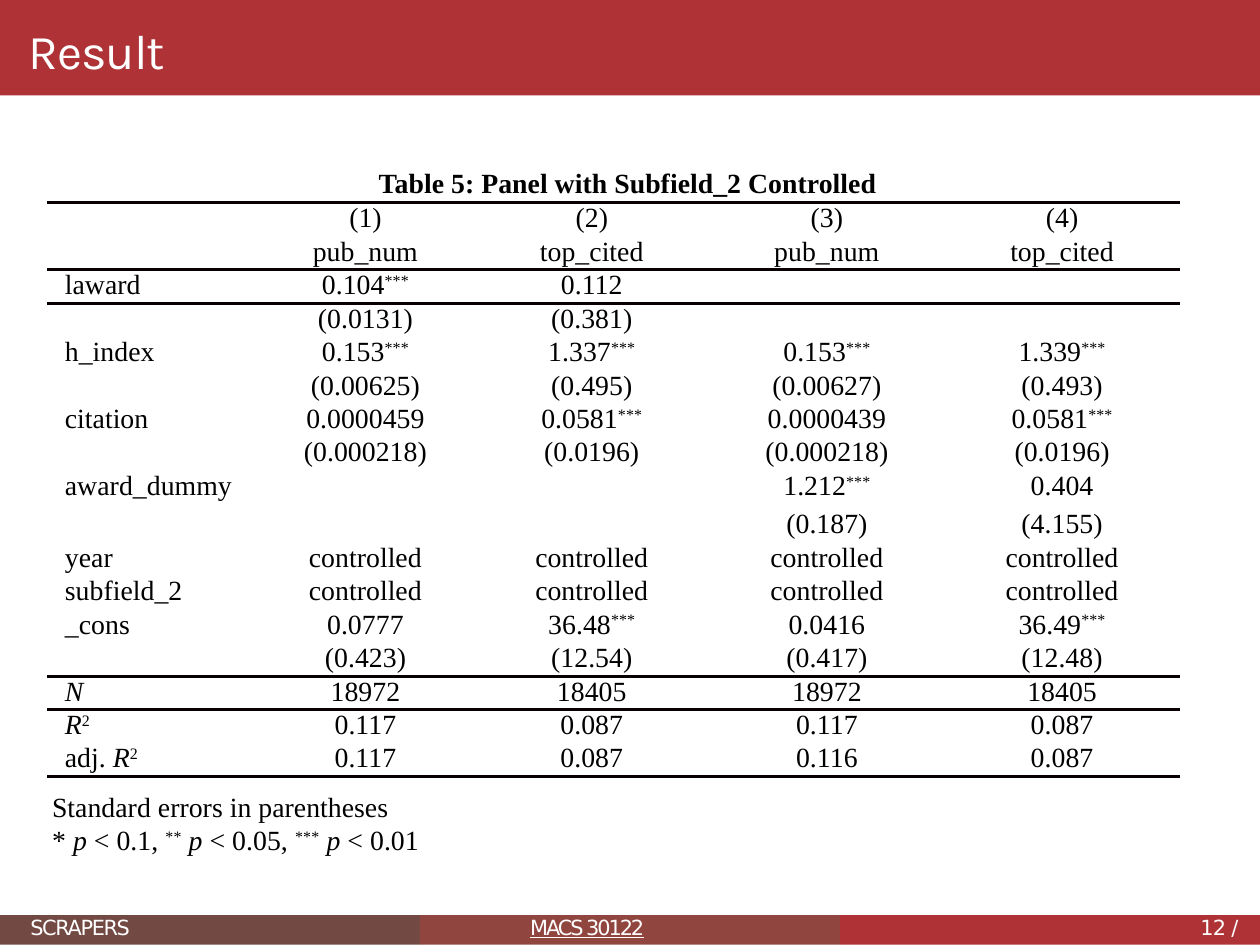
from dataclasses import dataclass

from lxml.etree import SubElement
from pptx import Presentation
from pptx.dml.color import RGBColor
from pptx.enum.shapes import MSO_SHAPE
from pptx.enum.text import MSO_ANCHOR, MSO_AUTO_SIZE, PP_ALIGN
from pptx.oxml import parse_xml
from pptx.oxml.ns import nsdecls, qn
from pptx.util import Cm, Pt


@dataclass(frozen=True)
class Theme:
    red: str = "AE3236"
    brown: str = "734943"
    rust: str = "90463F"
    white: str = "FFFFFF"
    ink: str = "000000"
    rule: str = "080000"
    title_font: str = "Karla"
    table_font: str = "Times New Roman"
    footer_font: str = "DejaVu Sans"
    title_size: float = 14
    table_size: float = 8
    footer_size: float = 6


THEME = Theme()
TABLE_TEXT = dict(name=THEME.table_font, size=Pt(THEME.table_size))
FOOTER_TEXT = dict(name=THEME.footer_font, size=Pt(THEME.footer_size))
TITLE_TEXT = dict(name=THEME.title_font, size=Pt(THEME.title_size))

PLAIN_TABLE_STYLE = "{2D5ABB26-0587-4C30-8999-92F81FD0307C}"
COL_WIDTHS = [2.13, 2.21, 2.39, 2.39, 2.39]
ROW_HEIGHT, TALL_ROW_HEIGHT, TALL_ROW = 0.34, 0.39, 8
RULES = {0: "a:lnT", 1: "a:lnB", 2: "a:lnT", 13: "a:lnB", 14: "a:lnT", 16: "a:lnB"}

ROWS = [
    ["", "(1)", "(2)", "(3)", "(4)"],
    ["", "pub_num", "top_cited", "pub_num", "top_cited"],
    ["laward", "0.104|^***", "0.112", "", ""],
    ["", "(0.0131)", "(0.381)", "", ""],
    ["h_index", "0.153|^***", "1.337|^***", "0.153|^***", "1.339|^***"],
    ["", "(0.00625)", "(0.495)", "(0.00627)", "(0.493)"],
    ["citation", "0.0000459", "0.0581|^***", "0.0000439", "0.0581|^***"],
    ["", "(0.000218)", "(0.0196)", "(0.000218)", "(0.0196)"],
    ["award_dummy", "", "", "1.212|^***", "0.404"],
    ["", "", "", "(0.187)", "(4.155)"],
    ["year"] + ["controlled"] * 4,
    ["subfield_2"] + ["controlled"] * 4,
    ["_cons", "0.0777", "36.48|^***", "0.0416", "36.49|^***"],
    ["", "(0.423)", "(12.54)", "(0.417)", "(12.48)"],
    ["~N", "18972", "18405", "18972", "18405"],
    ["~R|^2", "0.117", "0.087", "0.117", "0.087"],
    ["adj. |~R|^2", "0.117", "0.087", "0.116", "0.087"],
]
NOTES = ["Standard errors in parentheses",
         "* |~p| < 0.1, |^**| |~p| < 0.05, |^***| |~p| < 0.01"]


def apply(obj, values):
    for name, value in values.items():
        setattr(obj, name, value)


def write(p, text, font, color, spacing=None):
    for part in text.split("|"):
        r = p.add_run()
        r.text = part.lstrip("^~")
        apply(r.font, font)
        r.font.color.rgb = RGBColor.from_string(color)
        rPr = r._r.get_or_add_rPr()
        if part.startswith("^"):
            rPr.set("baseline", "30000")
        if part.startswith("~"):
            r.font.italic = True
        if spacing:
            rPr.set("spc", str(spacing))


def add_band(s, left, top, width, height, color):
    sp = s.shapes.add_shape(MSO_SHAPE.RECTANGLE, Cm(left), Cm(top), Cm(width), Cm(height))
    sp.shadow.inherit = False
    sp.fill.solid()
    sp.fill.fore_color.rgb = RGBColor.from_string(color)
    sp.line.fill.background()
    return sp


def add_text(s, left, top, width, height, lines, font, color, spacing=None, frame=None):
    sp = s.shapes.add_textbox(Cm(left), Cm(top), Cm(width), Cm(height))
    tf = sp.text_frame
    apply(tf, dict(word_wrap=True) | (frame or {}))
    for i, line in enumerate(lines):
        p = tf.add_paragraph() if i else tf.paragraphs[0]
        write(p, line, font, color, spacing)
    return tf


def build_header(s, left, top, width, height):
    band = add_band(s, left, top, width, height, THEME.red)
    title = s.shapes.title
    title.element.addprevious(band.element)
    apply(title, dict(left=Cm(left + 0.26), top=Cm(top + 0.16), width=Cm(2.26), height=Cm(0.64)))
    tf = title.text_frame
    apply(tf, dict(margin_left=Cm(0.03), margin_top=Cm(0.05), margin_right=0, margin_bottom=0,
                   vertical_anchor=MSO_ANCHOR.TOP, auto_size=MSO_AUTO_SIZE.NONE, word_wrap=True))
    apply(tf.paragraphs[0], dict(alignment=PP_ALIGN.LEFT, space_before=Pt(1.4)))
    write(tf.paragraphs[0], "Result", TITLE_TEXT, THEME.white, -30)


def fill_cell(cell, text, align, rule):
    apply(cell, dict(margin_left=Cm(0.18), margin_right=Cm(0.18), margin_top=0, margin_bottom=0))
    cell.fill.background()
    p = cell.text_frame.paragraphs[0]
    p.alignment = align
    if text:
        write(p, text, TABLE_TEXT, THEME.ink)
    else:
        SubElement(p._p, qn("a:endParaRPr"), sz=str(int(THEME.table_size * 100)))
    if rule:
        cell._tc.get_or_add_tcPr().insert(0, parse_xml(
            f'<{rule} {nsdecls("a")} w="{Pt(1)}"><a:solidFill>'
            f'<a:srgbClr val="{THEME.rule}"/></a:solidFill></{rule}>'))


def build_results(s, left, top):
    add_text(s, left + 3.12, top, 5.94, 0.46, ["Table 5: Panel with Subfield_2 Controlled"],
             TABLE_TEXT | dict(bold=True), THEME.ink)
    heights = [TALL_ROW_HEIGHT if i == TALL_ROW else ROW_HEIGHT for i in range(len(ROWS))]
    table_top = top + 0.5
    table = s.shapes.add_table(len(ROWS), len(COL_WIDTHS), Cm(left), Cm(table_top),
                               Cm(sum(COL_WIDTHS)), Cm(sum(heights))).table
    apply(table, dict(first_row=False, horz_banding=False))
    table._tbl.tblPr.find(qn("a:tableStyleId")).text = PLAIN_TABLE_STYLE
    for col, width in zip(table.columns, COL_WIDTHS):
        col.width = Cm(width)
    for i, (row, height) in enumerate(zip(ROWS, heights)):
        table.rows[i].height = Cm(height)
        for j, text in enumerate(row):
            align = PP_ALIGN.CENTER if j else PP_ALIGN.LEFT
            fill_cell(table.cell(i, j), text, align, RULES.get(i))
    add_text(s, left - 0.2, table_top + sum(heights) + 0.01, 5.79, 0.81,
             NOTES, TABLE_TEXT, THEME.ink)


def build_footer(s, left, top, width, height):
    parts = [("SCRAPERS", THEME.brown, 0.31, 3.7, -40, {}),
             ("MACS 30122", THEME.rust, 1.12, 2.08, -60, dict(underline=True)),
             ("12 /", THEME.red, 3.66, 0.55, -20, {})]
    step = width / len(parts)
    frame = dict(margin_left=0, margin_top=Cm(0.08), margin_right=0, margin_bottom=0)
    for i, (text, color, indent, text_width, spacing, extra) in enumerate(parts):
        x = left + i * step
        add_band(s, x, top, step, height, color)
        tf = add_text(s, x + indent, top - 0.08, text_width, 0.33, [text],
                      FOOTER_TEXT | extra, THEME.white, spacing, frame)
        tf.paragraphs[0].space_before = Pt(1.9)


def main():
    prs = Presentation()
    apply(prs, dict(slide_width=Pt(363), slide_height=Pt(272.5)))
    s = prs.slides.add_slide(prs.slide_layouts[5])
    build_header(s, 0, 0, 12.81, 0.97)
    build_results(s, 0.48, 1.56)
    build_footer(s, 0, 9.3, 12.81, 0.3)
    prs.save("out.pptx")


if __name__ == "__main__":
    main()
